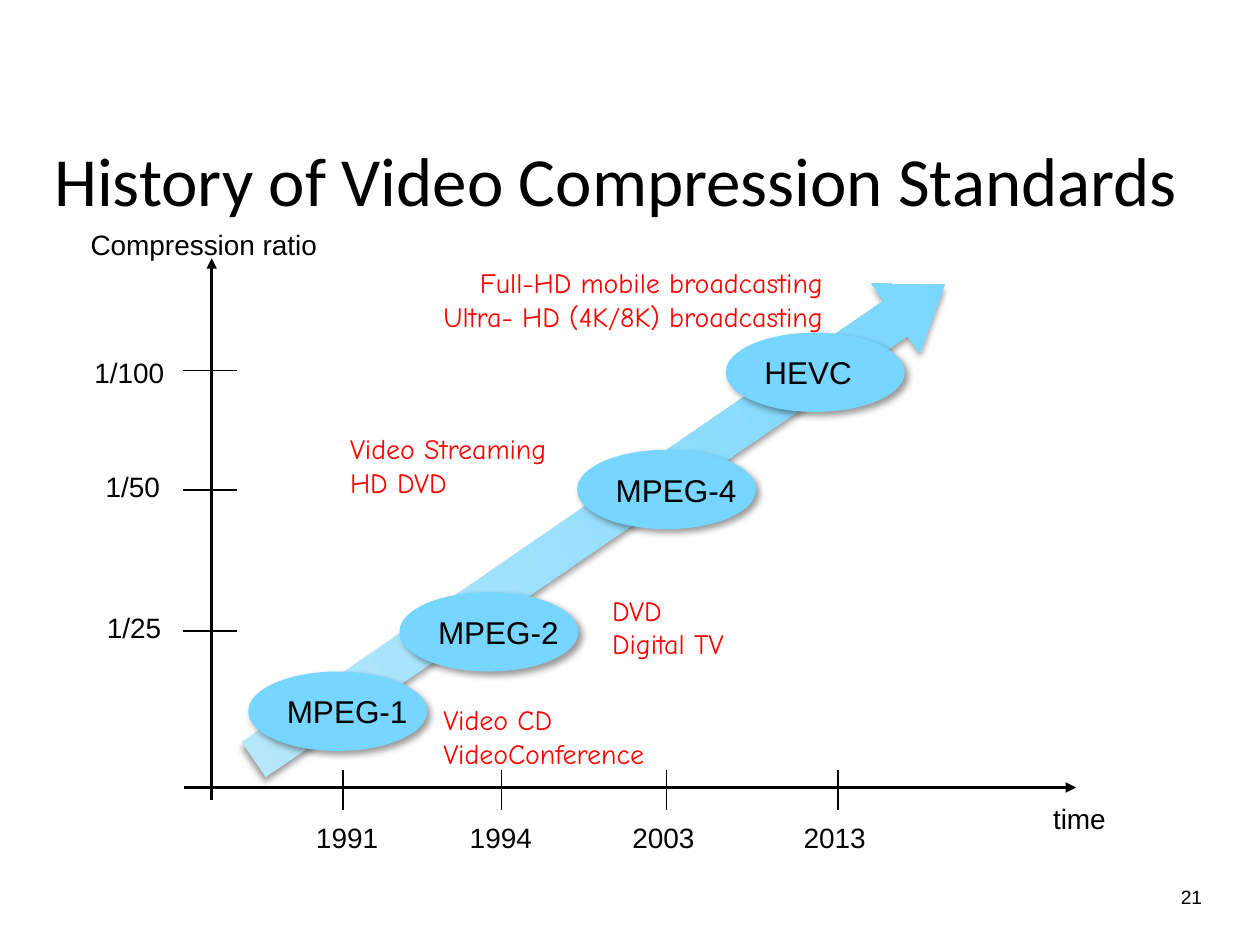
from lxml.etree import SubElement
from pptx import Presentation
from pptx.dml.color import RGBColor
from pptx.enum.shapes import MSO_CONNECTOR, MSO_SHAPE
from pptx.enum.text import MSO_ANCHOR, MSO_AUTO_SIZE, PP_ALIGN
from pptx.oxml.ns import qn
from pptx.util import Inches, Pt

COLORS = {
    "text": "000000",
    "application": "FF0000",
    "standard": "76D6FF",
    "trend_start": "B9E8FB",
    "trend_end": "76D6FF",
}


class TimelineSlide:
    font = "Arial"
    note_font = "Comic Neue"
    label_size = 16

    def __init__(self, presentation):
        self.slide = presentation.slides.add_slide(presentation.slide_layouts[5])
        self.shapes = self.slide.shapes

    def color(self, name):
        return RGBColor.from_string(COLORS[name])

    def add_lines(self, frame, lines, size, font=None, color="text", align=PP_ALIGN.LEFT):
        for index, line in enumerate(lines):
            paragraph = frame.add_paragraph() if index else frame.paragraphs[0]
            paragraph.alignment = align
            run = paragraph.add_run()
            run.text = line
            run.font.size = Pt(size)
            run.font.name = font or self.font
            run.font.color.rgb = self.color(color)

    def title(self, text):
        shape = self.shapes.title
        shape.left, shape.top = Inches(0.36), Inches(0.71)
        shape.width, shape.height = Inches(9.28), Inches(1.42)
        frame = shape.text_frame
        frame.auto_size = MSO_AUTO_SIZE.NONE
        frame.vertical_anchor = MSO_ANCHOR.MIDDLE
        frame.margin_left = frame.margin_right = Inches(0.07)
        frame.margin_top = frame.margin_bottom = Inches(0.07)
        self.add_lines(frame, [text], 39.4, "Calibri")

    def text(self, lines, left, top, width, height=0.37, wrap=False, size=None, **style):
        box = self.shapes.add_textbox(Inches(left), Inches(top), Inches(width), Inches(height))
        frame = box.text_frame
        frame.word_wrap = wrap
        frame.auto_size = MSO_AUTO_SIZE.SHAPE_TO_FIT_TEXT
        self.add_lines(frame, lines, size or self.label_size, **style)

    def applications(self, lines, left, top, width, **style):
        self.text(lines, left, top, width, 0.64, font=self.note_font,
                  color="application", **style)

    def line(self, start, end, weight=1, arrow=False):
        points = [Inches(value) for value in (*start, *end)]
        connector = self.shapes.add_connector(MSO_CONNECTOR.STRAIGHT, *points)
        connector.line.color.rgb = self.color("text")
        connector.line.width = Pt(weight)
        properties = connector._element.spPr
        if arrow:
            SubElement(properties.find(qn("a:ln")), qn("a:tailEnd"), type="triangle")
        SubElement(properties, qn("a:effectLst"))

    def shadow(self, shape, direction):
        effects = SubElement(shape._element.spPr, qn("a:effectLst"))
        shadow = SubElement(effects, qn("a:outerShdw"), blurRad=str(Pt(4)), dist=str(Pt(3)),
                            dir=str(direction * 60000), rotWithShape="0")
        color = SubElement(shadow, qn("a:srgbClr"), val=COLORS["text"])
        SubElement(color, qn("a:alpha"), val="40000")

    def trend_arrow(self, left, top, width, height, rotation):
        shape = self.shapes.add_shape(MSO_SHAPE.RIGHT_ARROW, Inches(left), Inches(top),
                                      Inches(width), Inches(height))
        shape.rotation = rotation
        shape.adjustments[0], shape.adjustments[1] = 0.5, 0.7
        shape.fill.gradient()
        shape.fill.gradient_angle = 0
        for stop, name in zip(shape.fill.gradient_stops, ("trend_start", "trend_end")):
            stop.color.rgb = self.color(name)
        shape.line.fill.background()
        self.shadow(shape, 90)

    def standard(self, name, left, top):
        shape = self.shapes.add_shape(MSO_SHAPE.OVAL, Inches(left), Inches(top),
                                      Inches(1.42), Inches(0.63))
        shape.fill.solid()
        shape.fill.fore_color.rgb = self.color("standard")
        shape.line.fill.background()
        self.shadow(shape, 45)
        frame = shape.text_frame
        frame.word_wrap = False
        frame.vertical_anchor = MSO_ANCHOR.MIDDLE
        self.add_lines(frame, [name], 18)


def main():
    presentation = Presentation()
    presentation.slide_width, presentation.slide_height = Inches(10), Inches(7.5)
    timeline = TimelineSlide(presentation)

    timeline.title("History of Video Compression Standards")
    timeline.text(["21"], 9.16, 6.98, 0.48, 0.33, wrap=True, size=11, align=PP_ALIGN.RIGHT)

    timeline.line((1.46, 6.25), (8.54, 6.25), 1.5, arrow=True)
    timeline.line((1.68, 6.35), (1.68, 2.05), 1.5, arrow=True)
    timeline.text(["Compression ratio"], 0.62, 1.76, 2.02)
    timeline.text(["time"], 8.26, 6.31, 0.63)

    timeline.trend_arrow(1.43, 3.81, 6.65, 0.67, 325.5)
    for name, left, top in (("MPEG-1", 1.97, 5.33), ("MPEG-2", 3.17, 4.7),
                            ("MPEG-4", 4.58, 3.57), ("HEVC", 5.76, 2.64)):
        timeline.standard(name, left, top)

    for ratio, tick, left, top, width in (("1/25", 5.01, 0.75, 4.8, 0.64),
                                          ("1/50", 3.89, 0.74, 3.68, 0.64),
                                          ("1/100", 2.94, 0.65, 2.77, 0.76)):
        timeline.line((1.45, tick), (1.88, tick))
        timeline.text([ratio], left, top, width)

    for year, tick, left, width in (("1991", 2.72, 2.41, 0.7), ("1994", 3.98, 3.63, 0.7),
                                    ("2003", 5.29, 4.92, 0.7), ("2013", 6.65, 6.28, 0.76)):
        timeline.line((tick, 6.11), (tick, 6.43))
        timeline.text([year], left, 6.46, width)

    timeline.applications(["DVD", "Digital TV"], 4.76, 4.66, 1.24)
    timeline.applications(["Video Streaming", "HD DVD"], 2.68, 3.38, 1.88)
    timeline.applications(["Full-HD mobile broadcasting", "Ultra- HD (4K/8K) broadcasting"],
                          2.82, 2.06, 3.81, wrap=True, align=PP_ALIGN.RIGHT)
    timeline.applications(["Video CD", "VideoConference"], 3.42, 5.53, 1.8)

    presentation.save("out.pptx")


if __name__ == "__main__":
    main()
